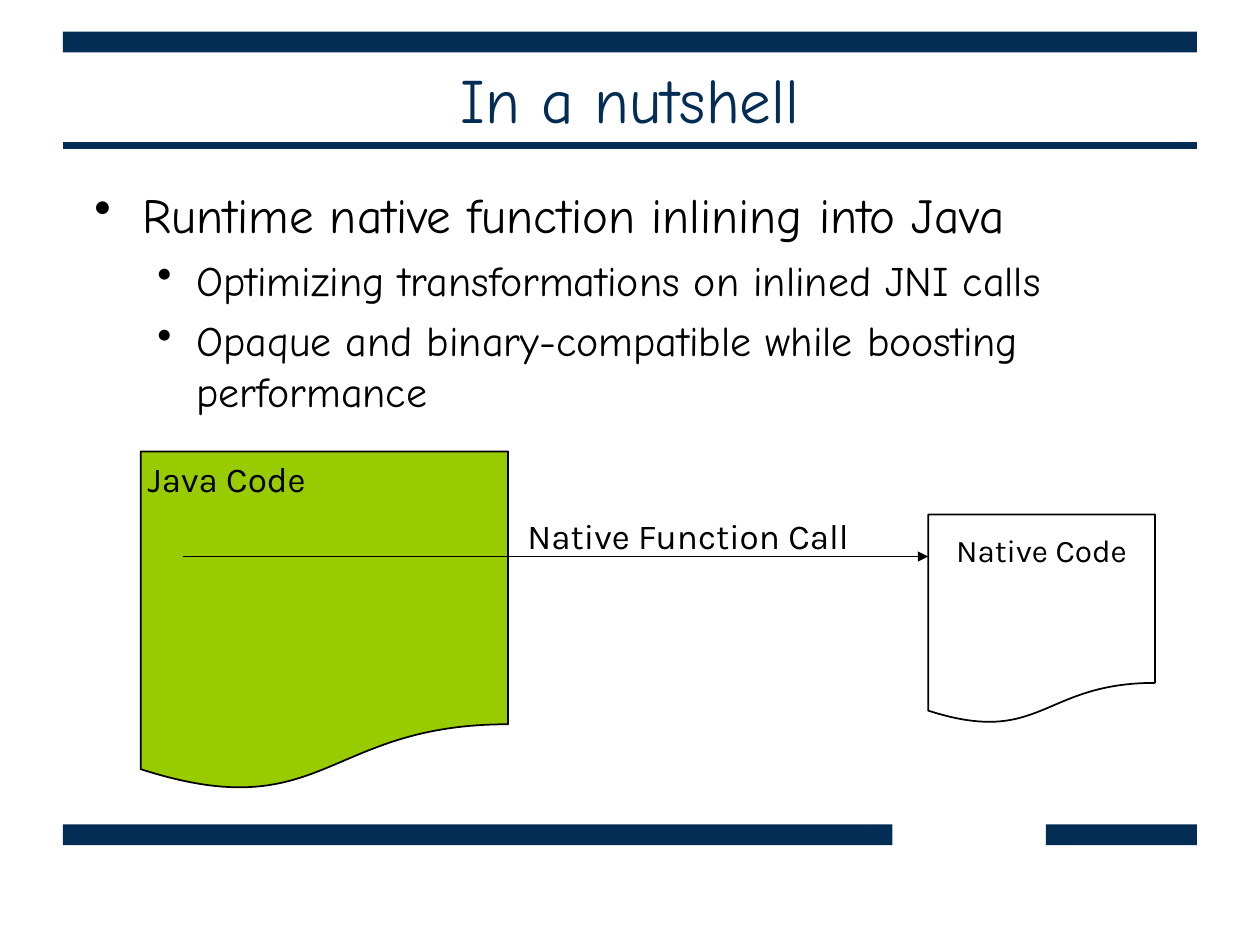
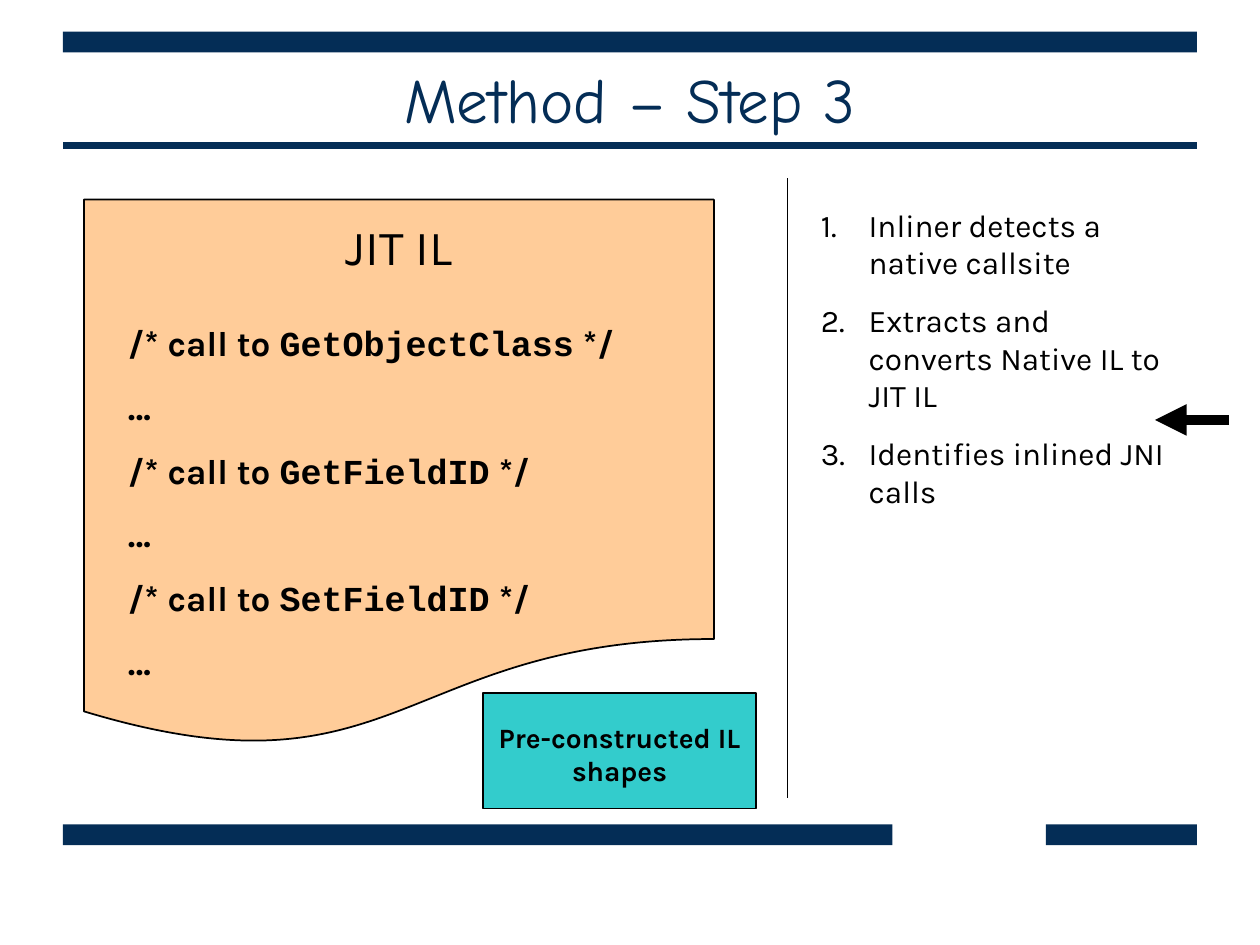
"""Build two slides on inlining native functions into Java; lengths are cells of a 120 by 90 grid."""
from lxml import etree
from pptx import Presentation
from pptx.dml.color import RGBColor
from pptx.enum.shapes import MSO_CONNECTOR, MSO_SHAPE
from pptx.enum.text import MSO_ANCHOR, PP_ALIGN
from pptx.oxml.ns import qn
from pptx.util import Inches, Pt

RECTANGLE, DOCUMENT = MSO_SHAPE.RECTANGLE, MSO_SHAPE.FLOWCHART_DOCUMENT
STRAIGHT = MSO_CONNECTOR.STRAIGHT
LEFT, CENTER = PP_ALIGN.LEFT, PP_ALIGN.CENTER
TOP, MIDDLE = MSO_ANCHOR.TOP, MSO_ANCHOR.MIDDLE

NAVY, BLACK, WHITE = "042D56", "000000", "FFFFFF"
GREEN, PEACH, TEAL = "99CC00", "FFCC99", "33CCCC"
HEADING_FONT, BODY_FONT, CODE_FONT = "Comic Neue", "Karla", "Courier New"

COLUMNS, ROWS = 120, 90
CELL = Inches(10) / COLUMNS

BANDS = [(6, 3, 108, 2), (6, 78.5, 79, 2), (99.6, 78.5, 14.4, 2)]
TITLE_RULE = (6, 13.9, 114, 13.9)
TITLE_AREA = (9, 4.9, 102, 9)

DOT = ("buChar", {"char": "•"})
NUMBER = ("buAutoNum", {"type": "arabicPeriod"})

# text, size, space before, left indent, hanging indent
SUMMARY = [
    ("Runtime native function inlining into Java", 28, 0, 0.38, 0.38),
    ("Optimizing transformations on inlined JNI calls", 24, 6, 0.81, 0.31),
    ("Opaque and binary-compatible while boosting performance", 24, 6, 0.81, 0.31),
]
STEPS = [
    "Inliner detects a native callsite",
    "Extracts and converts Native IL to JIT IL",
    "Identifies inlined JNI calls",
]
CALLS = ["GetObjectClass", "GetFieldID", "SetFieldID"]


def cells(*lengths):
    return [round(length * CELL) for length in lengths]


def color(hex_string):
    return RGBColor.from_string(hex_string)


def add_box(slide, kind, area, fill, outline=None):
    shape = slide.shapes.add_shape(kind, *cells(*area))
    shape.shadow.inherit = False
    shape.fill.solid()
    shape.fill.fore_color.rgb = color(fill)
    if outline:
        shape.line.color.rgb = color(outline)
        shape.line.width = Pt(1)
    else:
        shape.line.fill.background()


def add_line(slide, ends, hex_string=BLACK, width=1, arrow=False):
    line = slide.shapes.add_connector(STRAIGHT, *cells(*ends))
    line.line.color.rgb = color(hex_string)
    line.line.width = Pt(width)
    properties = line._element.spPr
    if arrow:
        outline = properties.find(qn("a:ln"))
        etree.SubElement(outline, qn("a:tailEnd"), type="triangle")
    etree.SubElement(properties, qn("a:effectLst"))


def add_text_frame(slide, area, anchor=TOP, wrap=True):
    frame = slide.shapes.add_textbox(*cells(*area)).text_frame
    frame.word_wrap = wrap
    frame.vertical_anchor = anchor
    return frame


def next_paragraph(frame, index):
    return frame.add_paragraph() if index else frame.paragraphs[0]


def style(font, name, size, hex_string=BLACK, bold=False):
    font.name, font.size, font.bold = name, Pt(size), bold
    font.color.rgb = color(hex_string)


def add_label(slide, area, text, size, name=BODY_FONT, hex_string=BLACK,
              bold=False, anchor=TOP, wrap=True):
    paragraph = add_text_frame(slide, area, anchor, wrap).paragraphs[0]
    paragraph.text = text
    paragraph.alignment = CENTER
    style(paragraph.font, name, size, hex_string, bold)


def add_list(slide, area, items, bullet, name, side_inset=0.1):
    frame = add_text_frame(slide, area)
    frame.margin_left = frame.margin_right = Inches(side_inset)
    tag, attributes = bullet
    for index, (text, size, space, indent, hanging) in enumerate(items):
        paragraph = next_paragraph(frame, index)
        paragraph.text = text
        paragraph.alignment = LEFT
        paragraph.space_before = Pt(space)
        properties = paragraph._p.get_or_add_pPr()
        properties.set("marL", str(Inches(indent)))
        properties.set("indent", str(-Inches(hanging)))
        etree.SubElement(properties, qn("a:" + tag), attributes)
        style(paragraph.font, name, size)


def add_code(slide, area):
    frame = add_text_frame(slide, area)
    lines = []
    for call in CALLS:
        lines.append([("/* call to ", BODY_FONT), (call, CODE_FONT), (" */", BODY_FONT)])
        lines.append([("…", BODY_FONT)])
    for index, pieces in enumerate(lines):
        paragraph = next_paragraph(frame, index)
        paragraph.space_before = Pt(12.5 if index else 0)
        for text, name in pieces:
            run = paragraph.add_run()
            run.text = text
            style(run.font, name, 20, bold=True)


def add_titled_slide(presentation, title):
    slide = presentation.slides.add_slide(presentation.slide_layouts[6])
    add_line(slide, TITLE_RULE, NAVY, 4)
    for band in BANDS:
        add_box(slide, RECTANGLE, band, NAVY)
    add_label(slide, TITLE_AREA, title, 36, HEADING_FONT, NAVY, anchor=MIDDLE)
    return slide


def build_nutshell(presentation):
    slide = add_titled_slide(presentation, "In a nutshell")
    add_list(slide, (9, 17, 102, 24), SUMMARY, DOT, HEADING_FONT, side_inset=0)
    add_box(slide, DOCUMENT, (13.4, 43, 35, 32.4), GREEN, BLACK)
    add_box(slide, DOCUMENT, (88.4, 49, 21.6, 20), WHITE, BLACK)
    add_label(slide, (12.8, 43, 17.6, 5.3), "Java Code", 20, wrap=False)
    add_label(slide, (89.5, 50, 19.4, 4.8), "Native Code", 18, wrap=False)
    add_line(slide, (17.4, 53, 88.4, 53), arrow=True)
    add_label(slide, (48.8, 48.4, 33.5, 5.3), "Native Function Call", 20, wrap=False)


def build_step_three(presentation):
    slide = add_titled_slide(presentation, "Method – Step 3")
    add_line(slide, (75, 17, 75, 76))
    steps = [(text, 18, 11.2 if index else 0, 0.38, 0.38)
             for index, text in enumerate(STEPS)]
    add_list(slide, (77, 19, 36, 30.2), steps, NUMBER, BODY_FONT)
    add_box(slide, DOCUMENT, (8, 19, 60, 52.2), PEACH, BLACK)
    add_label(slide, (15, 20, 46, 6.9), "JIT IL", 28)
    add_code(slide, (11, 30, 56, 35.6))
    add_box(slide, RECTANGLE, (46, 66, 26, 11), TEAL, BLACK)
    add_label(slide, (46, 68, 26, 7.7), "Pre-constructed IL shapes", 16, bold=True)
    add_line(slide, (117, 40, 110, 40), width=6, arrow=True)


def main():
    presentation = Presentation()
    presentation.slide_width, presentation.slide_height = cells(COLUMNS, ROWS)
    build_nutshell(presentation)
    build_step_three(presentation)
    presentation.save("out.pptx")


if __name__ == "__main__":
    main()
